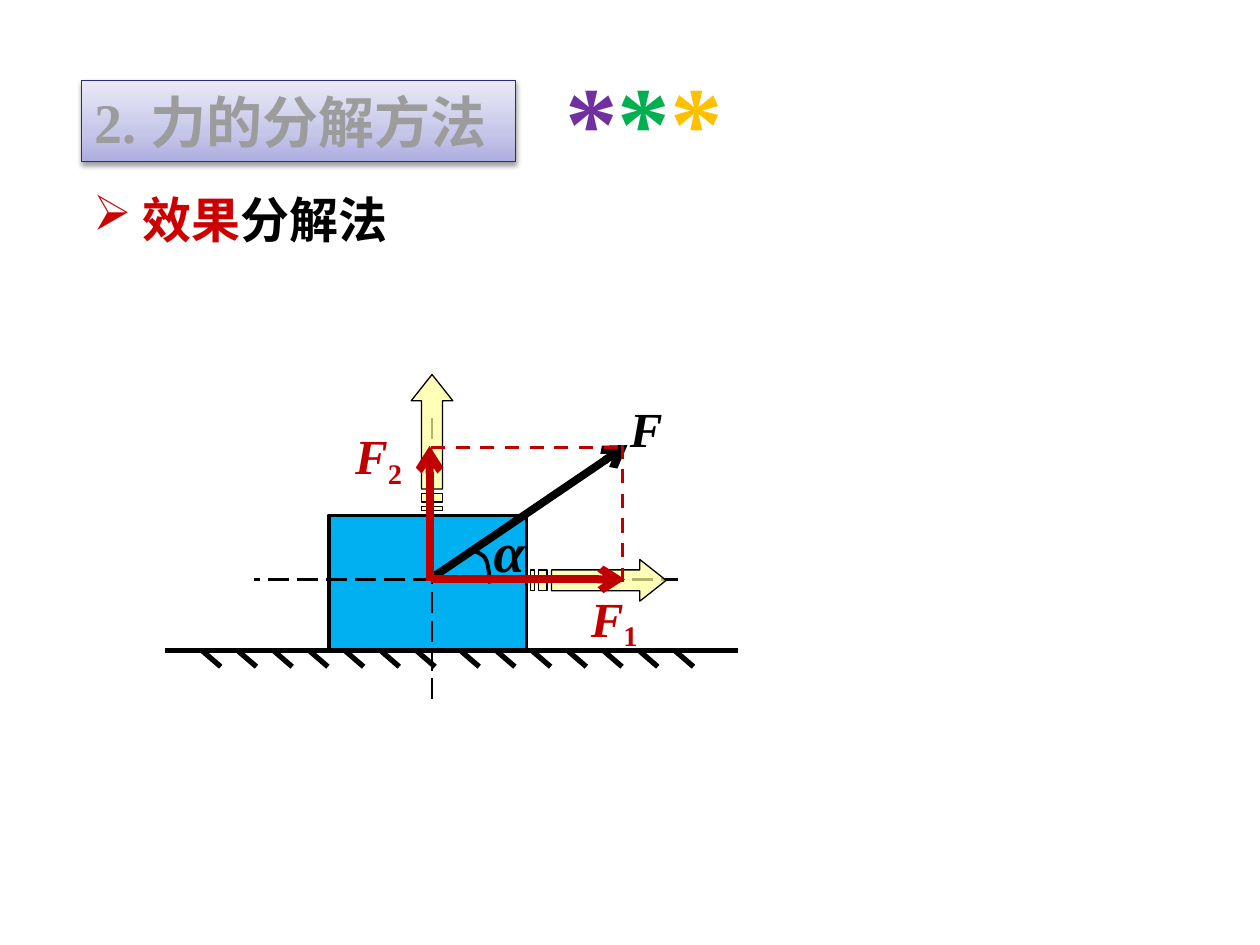
from lxml import etree
from pptx import Presentation
from pptx.dml.color import RGBColor
from pptx.enum.dml import MSO_LINE
from pptx.enum.shapes import MSO_CONNECTOR, MSO_SHAPE
from pptx.enum.text import MSO_ANCHOR
from pptx.oxml import parse_xml
from pptx.oxml.ns import qn
from pptx.util import Cm, Pt

STRAIGHT = MSO_CONNECTOR.STRAIGHT
RECTANGLE = MSO_SHAPE.RECTANGLE
DASH, LONG_DASH = MSO_LINE.DASH, MSO_LINE.LONG_DASH
MIDDLE, TOP = MSO_ANCHOR.MIDDLE, MSO_ANCHOR.TOP
NAMESPACE = 'xmlns:a="http://schemas.openxmlformats.org/drawingml/2006/main"'
BLACK, RED, VIOLET = "000000", "C00000", "2A2A89"


def colour(value):
    return RGBColor.from_string(value)


def add_span(para, text, size=28, ink=BLACK, italic=False, baseline=None):
    span = para.add_run()
    span.text = text
    font = span.font
    font.name, font.size, font.bold, font.italic = "Times New Roman", Pt(size), True, italic
    font.color.rgb = colour(ink)
    if baseline:
        font._element.set("baseline", str(baseline))


def curve_points(start, first, second, end, steps=8):
    points = []
    for step in range(steps + 1):
        t = step / steps
        weights = ((1 - t) ** 3, 3 * t * (1 - t) ** 2, 3 * t ** 2 * (1 - t), t ** 3)
        corners = (start, first, second, end)
        points.append(tuple(sum(w * c[axis] for w, c in zip(weights, corners)) for axis in (0, 1)))
    return points


class Sketch:
    def __init__(self, slide):
        self.slide = slide
        self.shapes = slide.shapes

    def outline(self, shape, ink, width):
        shape.line.color.rgb = colour(ink)
        shape.line.width = Pt(width)

    def block(self, left, top, width, height, ink=BLACK, line=2.0):
        shape = self.shapes.add_shape(RECTANGLE, Cm(left), Cm(top), Cm(width), Cm(height))
        shape.shadow.inherit = False
        self.outline(shape, ink, line)
        return shape

    def line(self, start, end, width=3.0, ink=BLACK, dash=None, arrow=False):
        x1, y1, x2, y2 = (Cm(value) for value in (*start, *end))
        connector = self.shapes.add_connector(STRAIGHT, x1, y1, x2, y2)
        self.outline(connector, ink, width)
        if dash:
            connector.line.dash_style = dash
        if arrow:
            etree.SubElement(connector.line._get_or_add_ln(), qn("a:tailEnd"), type="arrow")
        etree.SubElement(connector._element.spPr, qn("a:effectLst"))

    def outlines(self, contours, closed, width):
        start = contours[0][0]
        builder = self.shapes.build_freeform(Cm(start[0]), Cm(start[1]))
        for index, contour in enumerate(contours):
            points = [(Cm(x), Cm(y)) for x, y in contour]
            if index:
                builder.move_to(*points[0])
            builder.add_line_segments(points[1:], close=closed)
        shape = builder.convert_to_shape()
        shape.shadow.inherit = False
        self.outline(shape, BLACK, width)
        return shape

    def arc(self, points):
        self.outlines([points], False, 2.25).fill.background()

    def striped_arrow(self, x, y, upward=False):
        half, wing, neck, tip = 0.21, 0.42, 2.21, 2.74
        head = [(neck, -wing), (neck, -half), (0.43, -half), (0.43, half),
                (neck, half), (neck, wing), (tip, 0)]
        stripes = [[(a, -half), (a, half), (b, half), (b, -half)] for a, b in ((0.17, 0.34), (0, 0.08))]
        contours = [[(x + across, y - along) if upward else (x + along, y + across)
                     for along, across in contour] for contour in (head, *stripes)]
        shape = self.outlines(contours, True, 0.75)
        shape.fill.solid()
        shape.fill.fore_color.rgb = colour("FFFF99")
        tint = shape._element.spPr.find(f"{qn('a:solidFill')}/{qn('a:srgbClr')}")
        etree.SubElement(tint, qn("a:alpha"), val="70000")

    def text(self, left, top, width, height, spans, wrap=True, anchor=TOP):
        box = self.shapes.add_textbox(Cm(left), Cm(top), Cm(width), Cm(height))
        frame = box.text_frame
        frame.word_wrap = wrap
        frame.vertical_anchor = anchor
        para = frame.paragraphs[0]
        for text, style in spans:
            add_span(para, text, **style)
        return para

    def force_label(self, left, top, ink=BLACK, index=None):
        spans = [("F", {"ink": ink, "italic": True})]
        if index:
            spans.append((index, {"ink": ink, "baseline": -20000}))
        self.text(left, top, 1.5, 1.45, spans, wrap=False)

    def bullet_heading(self, left, top, width, height, spans):
        para = self.text(left, top, width, height, spans, anchor=MIDDLE)
        properties = para._p.get_or_add_pPr()
        properties.set("marL", str(Cm(1)))
        properties.set("indent", str(-Cm(1)))
        etree.SubElement(properties, qn("a:buChar"), char="➢")

    def title(self, left, top, width, height, text):
        shape = self.block(left, top, width, height, VIOLET, 0.75)
        stops = "".join(f'<a:gs pos="{place}"><a:srgbClr val="{ink}"/></a:gs>' for place, ink in
                        ((0, "ADADE1"), (35000, "C6C6E9"), (100000, "E9E9F7")))
        gradient = parse_xml(f'<a:gradFill {NAMESPACE} rotWithShape="1"><a:gsLst>{stops}</a:gsLst>'
                             '<a:lin ang="16200000" scaled="1"/></a:gradFill>')
        properties = shape._element.spPr
        properties.find(qn("a:prstGeom")).addnext(gradient)
        properties.find(qn("a:effectLst")).append(parse_xml(
            f'<a:outerShdw {NAMESPACE} blurRad="{Pt(3.1)}" dist="{Pt(1.6)}" dir="5400000" rotWithShape="0">'
            f'<a:srgbClr val="{BLACK}"><a:alpha val="38000"/></a:srgbClr></a:outerShdw>'))
        frame = shape.text_frame
        frame.word_wrap = True
        frame.vertical_anchor = MIDDLE
        para = frame.paragraphs[0]
        para._p.get_or_add_pPr().set("algn", "l")
        add_span(para, text, size=32, ink="9C9C9C")


def main():
    deck = Presentation()
    deck.slide_width, deck.slide_height = Cm(25.4), Cm(19.05)
    sketch = Sketch(deck.slides.add_slide(deck.slide_layouts[6]))

    body = sketch.block(6.63, 10.39, 3.99, 2.72)
    body.fill.solid()
    body.fill.fore_color.rgb = colour("00B0F0")
    sketch.line((3.33, 13.11), (14.88, 13.11))
    for first in (4.09, 9.3):
        for index in range(7):
            x = first + 0.72 * index
            sketch.line((x, 13.13), (x + 0.36, 13.44))

    sketch.line((8.66, 11.68), (13.67, 11.68), 1.5, dash=LONG_DASH)
    sketch.arc(curve_points((9.45, 11.07), (9.5, 11.1), (9.7, 11.13), (9.78, 11.25))
               + curve_points((9.78, 11.25), (9.86, 11.38), (9.86, 11.66), (9.88, 11.76))[1:])
    sketch.force_label(12.45, 7.9)
    sketch.line((8.66, 11.68), (12.65, 8.97), 4.5, arrow=True)
    sketch.text(9.7, 10.29, 1.22, 1.63, [("α", {"size": 32, "italic": True})])
    sketch.bullet_heading(1.63, 3.68, 7.49, 1.45, [("效果", {"ink": "CC0000"}), ("分解法", {})])
    sketch.line((8.71, 14.1), (8.71, 8.38), 1.5, dash=LONG_DASH)
    sketch.line((8.74, 11.68), (5.13, 11.68), 1.5, dash=LONG_DASH)

    sketch.striped_arrow(10.69, 11.7)
    sketch.striped_arrow(8.71, 10.29, upward=True)
    sketch.line((8.69, 11.68), (12.6, 11.68), 4.5, RED, arrow=True)
    sketch.force_label(11.66, 11.73, RED, "1")
    sketch.force_label(6.91, 8.46, RED, "2")
    sketch.line((8.66, 11.71), (8.66, 8.99), 4.5, RED, arrow=True)
    sketch.line((8.69, 9.02), (12.6, 9.02), 2, RED, DASH)
    sketch.line((12.55, 11.73), (12.55, 8.97), 2, RED, DASH)

    sketch.title(1.65, 1.63, 8.74, 1.63, "2. 力的分解方法")
    stars = sketch.text(11.15, 0.23, 4.57, 3.25, [
        ("*", {"size": 60, "ink": ink}) for ink in ("7030A0", "00B050", "FFC000")])
    stars.line_spacing = 1.3
    deck.save("out.pptx")


if __name__ == "__main__":
    main()
